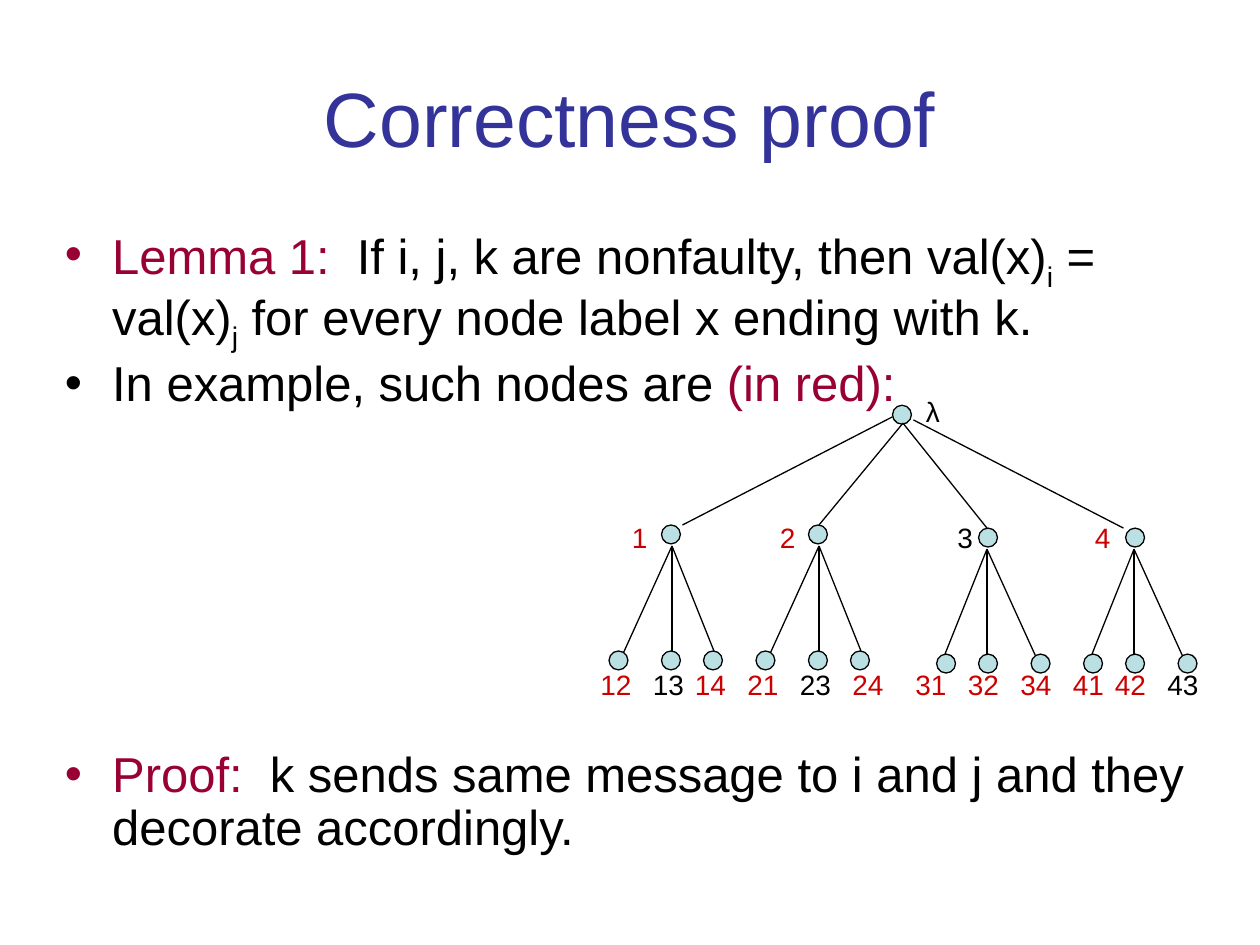
from dataclasses import dataclass
from typing import NamedTuple

from lxml.etree import SubElement
from pptx import Presentation
from pptx.dml.color import RGBColor
from pptx.enum.shapes import MSO_CONNECTOR, MSO_SHAPE
from pptx.enum.text import MSO_ANCHOR, PP_ALIGN
from pptx.oxml.ns import qn
from pptx.util import Emu, Pt

PX = 7620  # EMU per px, 120 px to the inch


@dataclass(frozen=True)
class Theme:
    font: str = "Arial"
    title: str = "333399"
    accent: str = "990033"
    text: str = "000000"
    red: str = "CC0000"
    node: str = "BBE0E3"
    title_pt: int = 44
    body_pt: int = 28
    label_pt: int = 16
    line_pt: float = 0.75


class Span(NamedTuple):
    text: str
    color: str
    subscript: bool = False


class Bullet(NamedTuple):
    spans: list[Span]
    space_before: int


class Label(NamedTuple):
    text: str
    x: int
    red: bool = True


@dataclass(frozen=True)
class Branch:
    x: int  # centre of the parent node
    y: int
    side: int  # 1 on the left half, -1 for the mirrored right half
    root_edge: tuple[int, int, int, int]
    label: Label
    leaves: list[Label]


T = Theme()
DOT = 18
ROOT = (859, 395)

BULLETS = [
    Bullet([Span("Lemma 1:", T.accent),
            Span("  If i, j, k are nonfaulty, then val(x)", T.text),
            Span("i", T.text, True), Span(" = val(x)", T.text),
            Span("j", T.text, True),
            Span(" for every node label x ending with k.", T.text)], 0),
    Bullet([Span("In example, such nodes are ", T.text),
            Span("(in red):", T.accent)], 7),
    Bullet([Span("Proof:", T.accent),
            Span("  k sends same message to i and j and they "
                 "decorate accordingly.", T.text)], 193),
]

BRANCHES = [
    Branch(639, 509, 1, (650, 500, 850, 397), Label("1", 590),
           [Label("12", 560), Label("13", 610, False), Label("14", 650)]),
    Branch(779, 509, 1, (780, 500, 860, 403), Label("2", 731),
           [Label("21", 700), Label("23", 750, False), Label("24", 800)]),
    Branch(941, 512, -1, (940, 503, 860, 403), Label("3", 900, False),
           [Label("31", 860), Label("32", 910), Label("34", 960)]),
    Branch(1081, 512, -1, (1070, 503, 870, 400), Label("4", 1031),
           [Label("41", 1010), Label("42", 1050), Label("43", 1100, False)]),
]


def px(n: int) -> Emu:
    return Emu(n * PX)


def add_text_frame(s, x: int, y: int, w: int, h: int):
    tf = s.shapes.add_textbox(px(x), px(y), px(w), px(h)).text_frame
    tf.word_wrap = True
    return tf


def style(r, size: int, color: str) -> None:
    r.font.name = T.font
    r.font.size = Pt(size)
    r.font.color.rgb = RGBColor.from_string(color)


def add_title(s, text: str) -> None:
    tf = add_text_frame(s, 60, 36, 1080, 150)
    tf.text = text
    tf.vertical_anchor = MSO_ANCHOR.MIDDLE
    p = tf.paragraphs[0]
    p.alignment = PP_ALIGN.CENTER
    style(p.runs[0], T.title_pt, T.title)


def add_bullets(s, bullets: list[Bullet]) -> None:
    tf = add_text_frame(s, 50, 210, 1120, 640)
    for i, bullet in enumerate(bullets):
        p = tf.paragraphs[0] if i == 0 else tf.add_paragraph()
        p.line_spacing = 0.9
        p.space_before = Pt(bullet.space_before)
        ppr = p._p.get_or_add_pPr()
        ppr.set("marL", str(px(45)))
        ppr.set("indent", str(-px(45)))
        color = SubElement(ppr, qn("a:buClr"))
        SubElement(color, qn("a:srgbClr"), val=bullet.spans[0].color)
        SubElement(ppr, qn("a:buFont"), typeface=T.font)
        SubElement(ppr, qn("a:buChar"), char="•")
        for span in bullet.spans:
            r = p.add_run()
            r.text = span.text
            style(r, T.body_pt, span.color)
            if span.subscript:
                r._r.get_or_add_rPr().set("baseline", "-25000")


def add_label(s, label: Label, y: int) -> None:
    tf = add_text_frame(s, label.x, y, 20 + 19 * len(label.text), 44)
    tf.text = label.text
    style(tf.paragraphs[0].runs[0], T.label_pt, T.red if label.red else T.text)


def add_dot(s, cx: int, cy: int) -> None:
    sp = s.shapes.add_shape(MSO_SHAPE.OVAL, px(cx - DOT // 2),
                            px(cy - DOT // 2), px(DOT), px(DOT))
    sp.shadow.inherit = False
    sp.fill.solid()
    sp.fill.fore_color.rgb = RGBColor.from_string(T.node)
    sp.line.color.rgb = RGBColor.from_string(T.text)
    sp.line.width = Pt(T.line_pt)


def add_edge(s, x1: int, y1: int, x2: int, y2: int) -> None:
    line = s.shapes.add_connector(MSO_CONNECTOR.STRAIGHT,
                                  px(x1), px(y1), px(x2), px(y2))
    line.line.color.rgb = RGBColor.from_string(T.text)
    line.line.width = Pt(T.line_pt)
    SubElement(line._element.spPr, qn("a:effectLst"))


def add_branch(s, b: Branch) -> None:
    add_edge(s, *b.root_edge)
    add_dot(s, b.x, b.y)
    add_label(s, b.label, 490)
    # Leaves: the outer one is spread wider than the inner one
    apex_x, apex_y = b.x + b.side, b.y + 11
    for spread, drop in ((-50, 110), (0, 100), (40, 100)):
        dx = spread * b.side
        add_edge(s, apex_x, apex_y, apex_x + dx, apex_y + drop)
        add_dot(s, b.x + dx, b.y + 120)
    for leaf in b.leaves:
        add_label(s, leaf, 630)


def main() -> None:
    prs = Presentation()
    prs.slide_width, prs.slide_height = px(1200), px(900)
    s = prs.slides.add_slide(prs.slide_layouts[6])

    # Heading and argument
    add_title(s, "Correctness proof")
    add_bullets(s, BULLETS)

    # Label tree
    add_dot(s, *ROOT)
    add_label(s, Label("λ", 870, False), 370)
    for branch in BRANCHES:
        add_branch(s, branch)

    prs.save("out.pptx")


if __name__ == "__main__":
    main()
